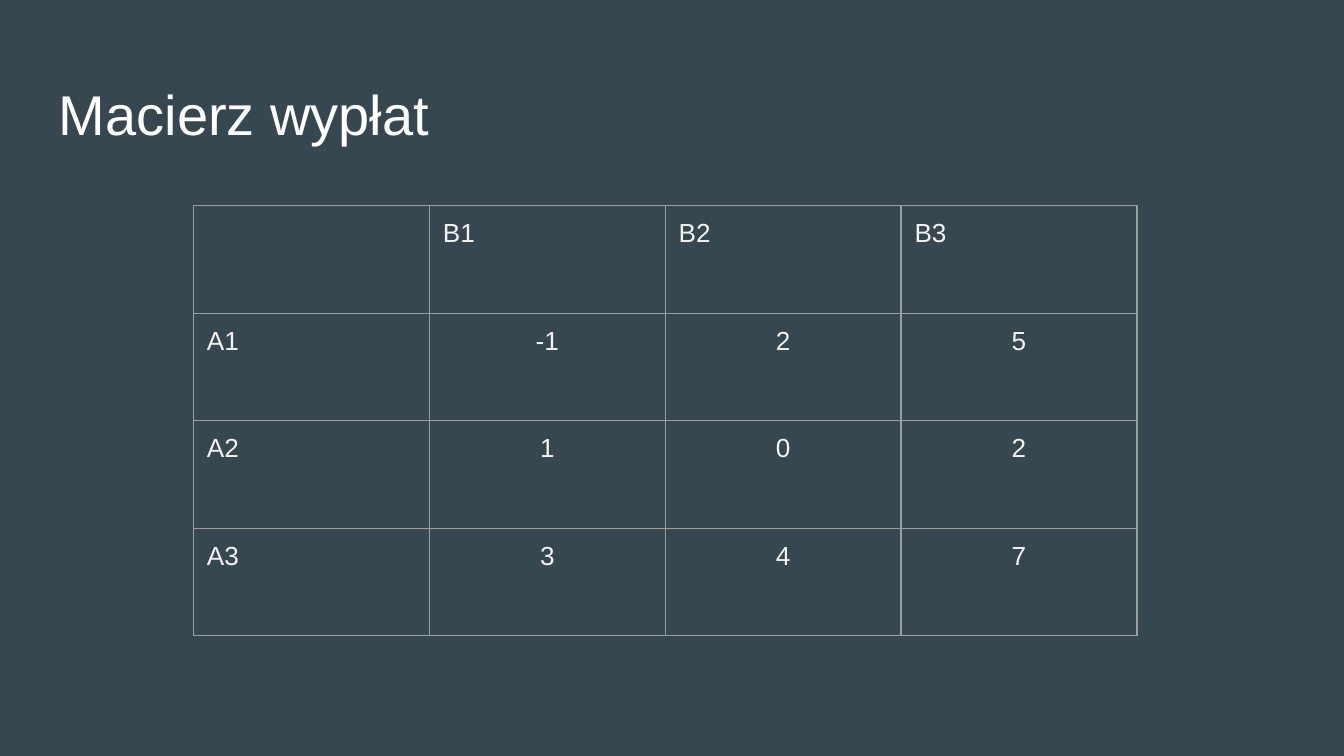
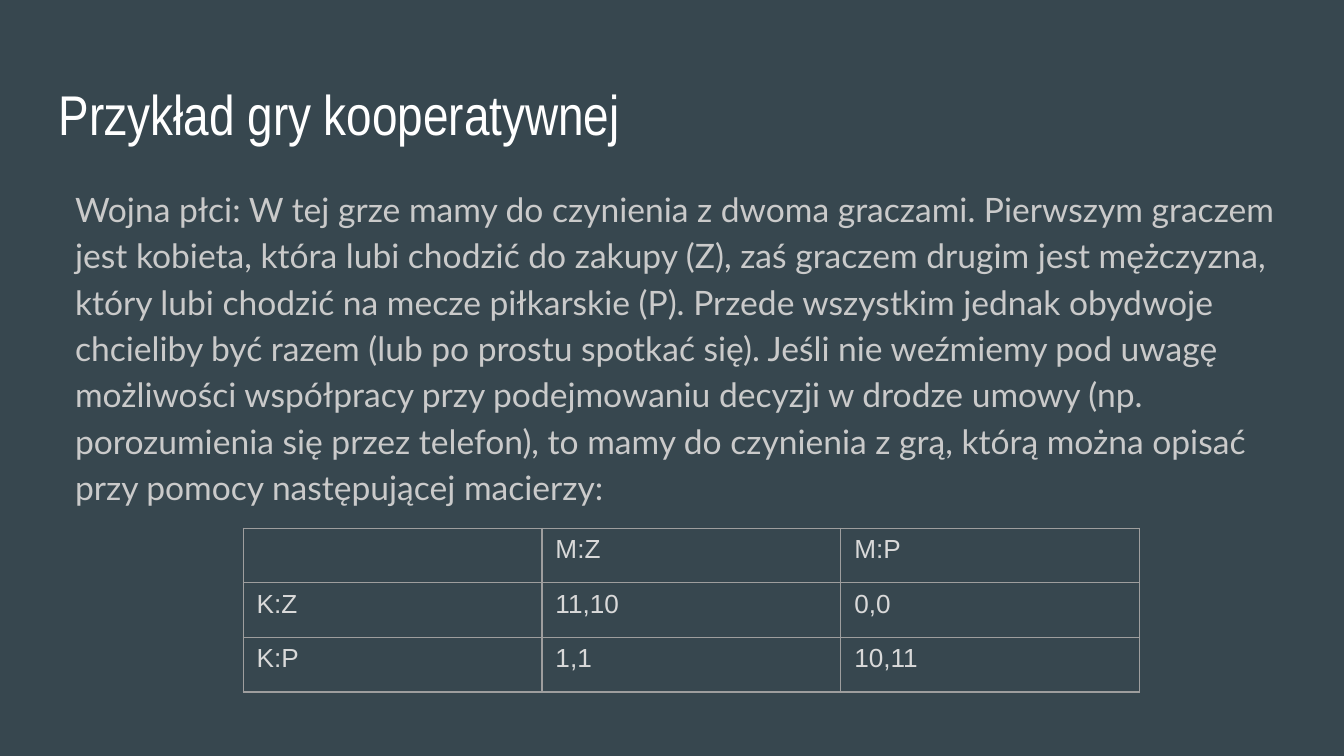
from lxml import etree
from pptx import Presentation
from pptx.dml.color import RGBColor
from pptx.enum.text import MSO_ANCHOR, PP_ALIGN
from pptx.oxml.ns import qn
from pptx.util import Inches, Pt

SLATE = RGBColor(0x37, 0x47, 0x4F)
WHITE = RGBColor(0xFF, 0xFF, 0xFF)
PALE = RGBColor(0xF3, 0xF3, 0xF3)
SILVER = RGBColor(0xD9, 0xD9, 0xD9)
BODY_GRAY = RGBColor(0xCA, 0xCA, 0xCA)
BORDER_GRAY = RGBColor(0x9E, 0x9E, 0x9E)

LEFT, CENTER = PP_ALIGN.LEFT, PP_ALIGN.CENTER
TOP = MSO_ANCHOR.TOP

PAYOFFS = [
    ["", "B1", "B2", "B3"],
    ["A1", "-1", "2", "5"],
    ["A2", "1", "0", "2"],
    ["A3", "3", "4", "7"],
]
COUPLE_GAME = [
    ["", "M:Z", "M:P"],
    ["K:Z", "11,10", "0,0"],
    ["K:P", "1,1", "10,11"],
]
GAME_STORY = (
    "Wojna płci: W tej grze mamy do czynienia z dwoma graczami. "
    "Pierwszym graczem jest kobieta, która lubi chodzić do zakupy (Z), "
    "zaś graczem drugim jest mężczyzna, który lubi chodzić na mecze "
    "piłkarskie (P). Przede wszystkim jednak obydwoje chcieliby być razem "
    "(lub po prostu spotkać się). Jeśli nie weźmiemy pod uwagę możliwości "
    "współpracy przy podejmowaniu decyzji w drodze umowy (np. porozumienia "
    "się przez telefon), to mamy do czynienia z grą, którą można opisać "
    "przy pomocy następującej macierzy:"
)


class Deck:
    """Shared style and the slide being built."""

    def __init__(self):
        self.prs = Presentation()
        self.prs.slide_width = Inches(10)
        self.prs.slide_height = Inches(10) * 9 // 16
        self.s = None

    def new_slide(self, title, title_font="Arial"):
        self.s = self.prs.slides.add_slide(self.prs.slide_layouts[6])
        fill = self.s.background.fill
        fill.solid()
        fill.fore_color.rgb = SLATE
        self.text(title, 0.49, 0.63, title_font, 30, WHITE)

    def style(self, p, font, size, color):
        for r in p.runs:
            r.font.name = font
            r.font.size = Pt(size)
            r.font.color.rgb = color

    def text(self, text, top, height, font, size, color):
        sp = self.s.shapes.add_textbox(
            Inches(0.34), Inches(top), Inches(9.32), Inches(height))
        tf = sp.text_frame
        tf.word_wrap = True
        tf.vertical_anchor = TOP
        tf.margin_left = tf.margin_right = Inches(0.1)
        tf.margin_top = tf.margin_bottom = Inches(0.1)
        tf.text = text
        p = tf.paragraphs[0]
        self.style(p, font, size, color)
        return p

    def body(self, text):
        p = self.text(text, 1.26, 3.74, "Lato", 18, BODY_GRAY)
        p.line_spacing = 1.15
        p_pr = p._p.get_or_add_pPr()
        p_pr.set("marL", str(Inches(0.12)))
        p_pr.set("indent", "0")

    def borders(self, cell):
        tc_pr = cell._tc.get_or_add_tcPr()
        for side in ("lnL", "lnR", "lnT", "lnB"):
            ln = etree.SubElement(tc_pr, qn("a:" + side), w=str(Pt(0.75)))
            solid = etree.SubElement(ln, qn("a:solidFill"))
            etree.SubElement(solid, qn("a:srgbClr"), val=str(BORDER_GRAY))

    def table(self, rows, left, top, width, height, color,
              v_margin, value_align=LEFT):
        # Columns and rows share the table's size equally
        table = self.s.shapes.add_table(
            len(rows), len(rows[0]), Inches(left), Inches(top),
            Inches(width), Inches(height)).table
        table.first_row = table.horz_banding = False
        for i, row in enumerate(rows):
            for j, value in enumerate(row):
                cell = table.cell(i, j)
                self.borders(cell)
                cell.fill.background()
                cell.margin_left = cell.margin_right = Inches(0.1)
                cell.margin_top = cell.margin_bottom = Inches(v_margin)
                cell.text = value
                p = cell.text_frame.paragraphs[0]
                # Headers stay left, values take the given alignment
                p.alignment = value_align if i and j else LEFT
                self.style(p, "Arial", 14, color)


def main():
    deck = Deck()

    # Payoff matrix
    deck.new_slide("Macierz wypłat")
    deck.table(PAYOFFS, 1.44, 1.53, 7.02, 3.2, PALE, 0.1, CENTER)

    # Cooperative game example
    deck.new_slide("Przykład gry kooperatywnej", "Arial Narrow")
    deck.body(GAME_STORY)
    deck.table(COUPLE_GAME, 1.81, 3.93, 6.67, 1.22, SILVER, 0.05)

    deck.prs.save("out.pptx")


if __name__ == "__main__":
    main()
